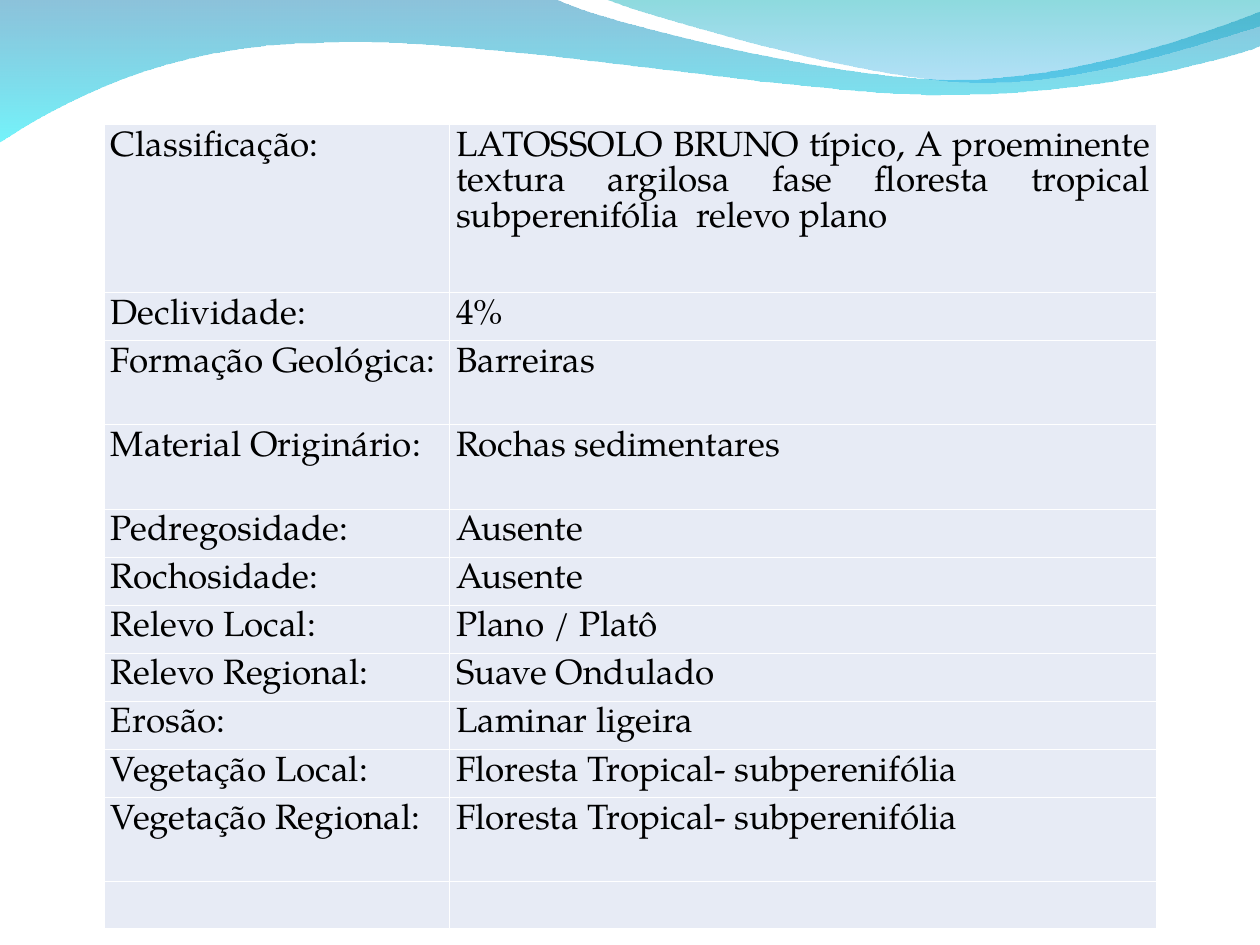
from itertools import chain

from lxml import etree
from pptx import Presentation
from pptx.dml.color import RGBColor
from pptx.enum import text
from pptx.oxml import ns
from pptx.util import Inches, Pt

FONT = "TeX Gyre Pagella"
BLACK = RGBColor(0x00, 0x00, 0x00)
WHITE = RGBColor(0xFF, 0xFF, 0xFF)
CELL = RGBColor(0xE7, 0xEB, 0xF5)
STEEL = RGBColor(0x00, 0x79, 0xAF)
CYAN = RGBColor(0x00, 0xEB, 0xF8)
TEAL = RGBColor(0x00, 0xAD, 0xB6)
BLUE = RGBColor(0x00, 0x9B, 0xE5)

# A step of one point is a straight line, a step of three is a Bézier curve.
LONG_WAVE = [
    [(0.01, 0)], [(4.41, 0)],
    [(4.77, 0.18), (6.65, 0.64), (7.59, 0.64)],
    [(8.54, 0.64), (9.59, 0.27), (10.01, 0.1)],
    [(10.02, 0.37)],
    [(9.84, 0.45), (8.71, 0.77), (7.47, 0.76)],
    [(6.23, 0.76), (3.83, 0.29), (2.58, 0.35)],
    [(1.3, 0.36), (0.47, 0.84), (0, 1.14)],
    [(0.01, 0)],
]
SHORT_WAVE = [
    [(0, 0)],
    [(0.3, 0.12), (2.03, 0.63), (2.9, 0.66)],
    [(3.77, 0.7), (4.82, 0.33), (5.21, 0.22)],
    [(5.21, 0.01)],
    [(0, 0)],
]

SINGLE, DOUBLE, TALL = 0.33, 0.67, 1.33
PROFILE = [
    ("Classificação:", "LATOSSOLO BRUNO típico, A proeminente textura argilosa "
     "fase floresta tropical subperenifólia  relevo plano", TALL),
    ("Declividade:", "4%", SINGLE),
    ("Formação Geológica:", "Barreiras", DOUBLE),
    ("Material Originário:", "Rochas sedimentares", DOUBLE),
    ("Pedregosidade:", "Ausente", SINGLE),
    ("Rochosidade:", "Ausente", SINGLE),
    ("Relevo Local:", "Plano / Platô", SINGLE),
    ("Relevo Regional:", "Suave Ondulado", SINGLE),
    ("Erosão:", "Laminar ligeira", SINGLE),
    ("Vegetação Local:", "Floresta Tropical- subperenifólia", SINGLE),
    ("Vegetação Regional:", "Floresta Tropical- subperenifólia", DOUBLE),
    ("", "", SINGLE),
]


def bend(wave, steps):
    """Join the three lines of each curved step into one Bézier segment."""
    lines = iter(list(wave._element.iter(ns.qn("a:lnTo"))))
    for step in steps[1:]:
        parts = [next(lines) for _ in step]
        if len(parts) == 3:
            curve = etree.Element(ns.qn("a:cubicBezTo"))
            parts[0].addprevious(curve)
            for part in parts:
                curve.append(part[0])
                part.getparent().remove(part)


def add_wave(page, left, top, steps, stops):
    """Draw a wave with a downward gradient of (colour, opacity) stops."""
    points = [(Inches(left + x), Inches(top + y))
              for x, y in chain.from_iterable(steps)]
    builder = page.shapes.build_freeform(*points[0])
    builder.add_line_segments(points[1:], close=True)
    wave = builder.convert_to_shape()
    bend(wave, steps)
    wave.shadow.inherit = False
    wave.line.fill.background()
    wave.fill.gradient()
    wave.fill.gradient_angle = 270
    for stop, (colour, _) in zip(wave.fill.gradient_stops, stops):
        stop.color.rgb = colour
    gradient = wave.fill._xPr.find(ns.qn("a:gradFill"))
    tints = list(gradient.iter(ns.qn("a:srgbClr")))
    for tint, (_, opacity) in zip(tints, stops):
        etree.SubElement(tint, ns.qn("a:alpha"), val=str(opacity * 1000))


def add_borders(cell):
    properties = cell._tc.get_or_add_tcPr()
    for side in ("lnL", "lnR", "lnT", "lnB"):
        line = etree.SubElement(properties, ns.qn(f"a:{side}"),
                                w=str(Pt(0.45)))
        paint = etree.SubElement(line, ns.qn("a:solidFill"))
        etree.SubElement(paint, ns.qn("a:srgbClr"), val=str(WHITE))


def fill_cell(cell, words):
    add_borders(cell)
    cell.fill.solid()
    cell.fill.fore_color.rgb = CELL
    cell.margin_left = cell.margin_right = Inches(0.05)
    cell.margin_top = cell.margin_bottom = Inches(0.05)
    para = cell.text_frame.paragraphs[0]
    if not words:
        etree.SubElement(para._p, ns.qn("a:endParaRPr"), sz="1600")
        return
    para.alignment = text.PP_ALIGN.JUSTIFY
    para.line_spacing = Pt(20.2)
    span = para.add_run()
    span.text = words
    span.font.name = FONT
    span.font.size = Pt(20)
    span.font.color.rgb = BLACK


def add_profile_table(page, left, top, widths, rows):
    frame = page.shapes.add_table(
        len(rows), len(widths), Inches(left), Inches(top),
        Inches(sum(widths)), Inches(sum(row[-1] for row in rows)))
    table = frame.table
    table.first_row = table.horz_banding = False
    for column, width in zip(table.columns, widths):
        column.width = Inches(width)
    for row, (label, value, height) in zip(table.rows, rows):
        row.height = Inches(height)
        for cell, words in zip(row.cells, (label, value)):
            fill_cell(cell, words)


def main():
    deck = Presentation()
    deck.slide_width, deck.slide_height = Inches(10), Inches(7.5)
    page = deck.slides.add_slide(deck.slide_layouts[6])
    add_wave(page, -0.01, -0.01, LONG_WAVE, [(STEEL, 45), (CYAN, 55)])
    add_wave(page, 4.79, -0.01, SHORT_WAVE, [(TEAL, 45), (BLUE, 30)])
    add_profile_table(page, 0.83, 0.99, (2.74, 5.61), PROFILE)
    deck.save("out.pptx")


if __name__ == "__main__":
    main()
